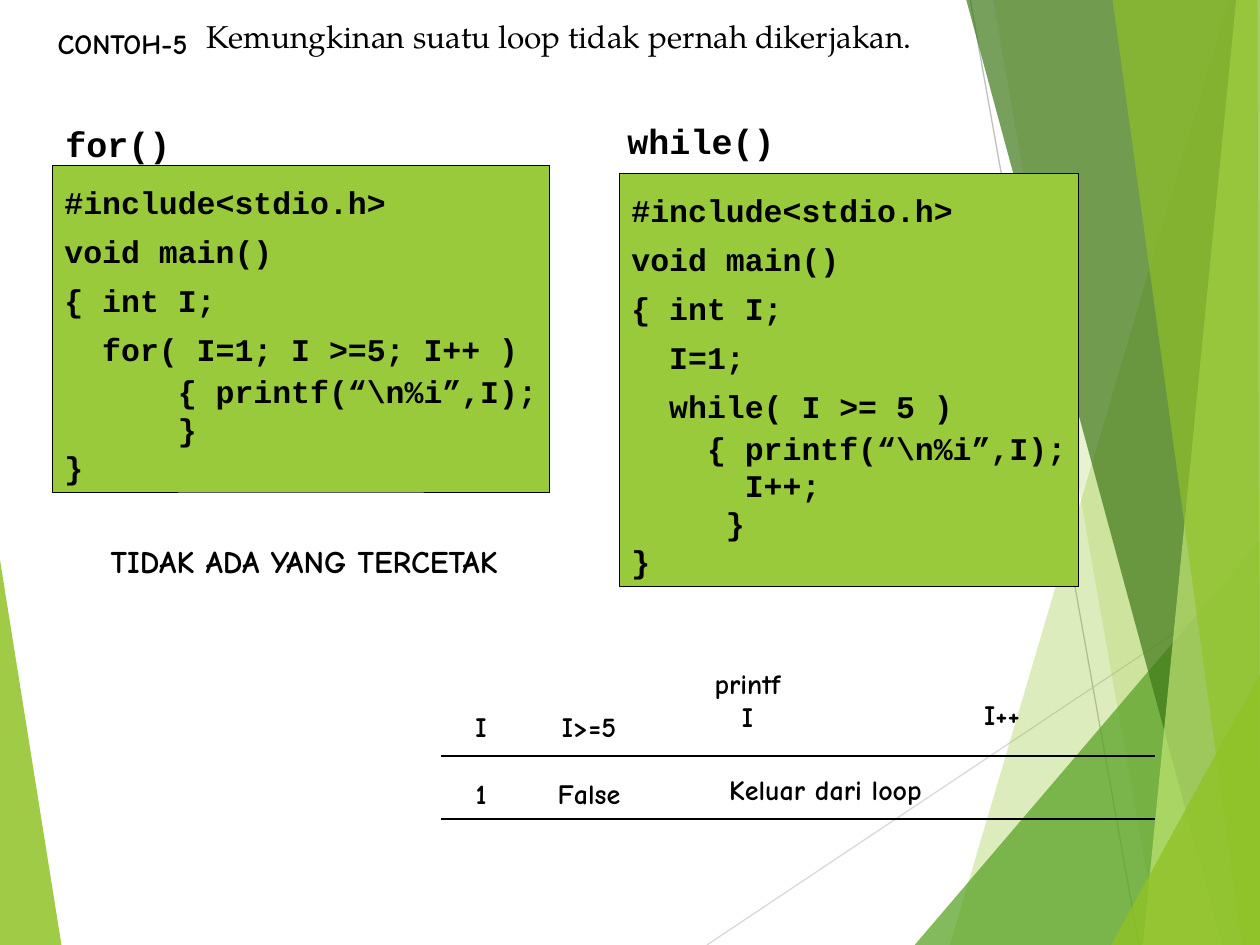
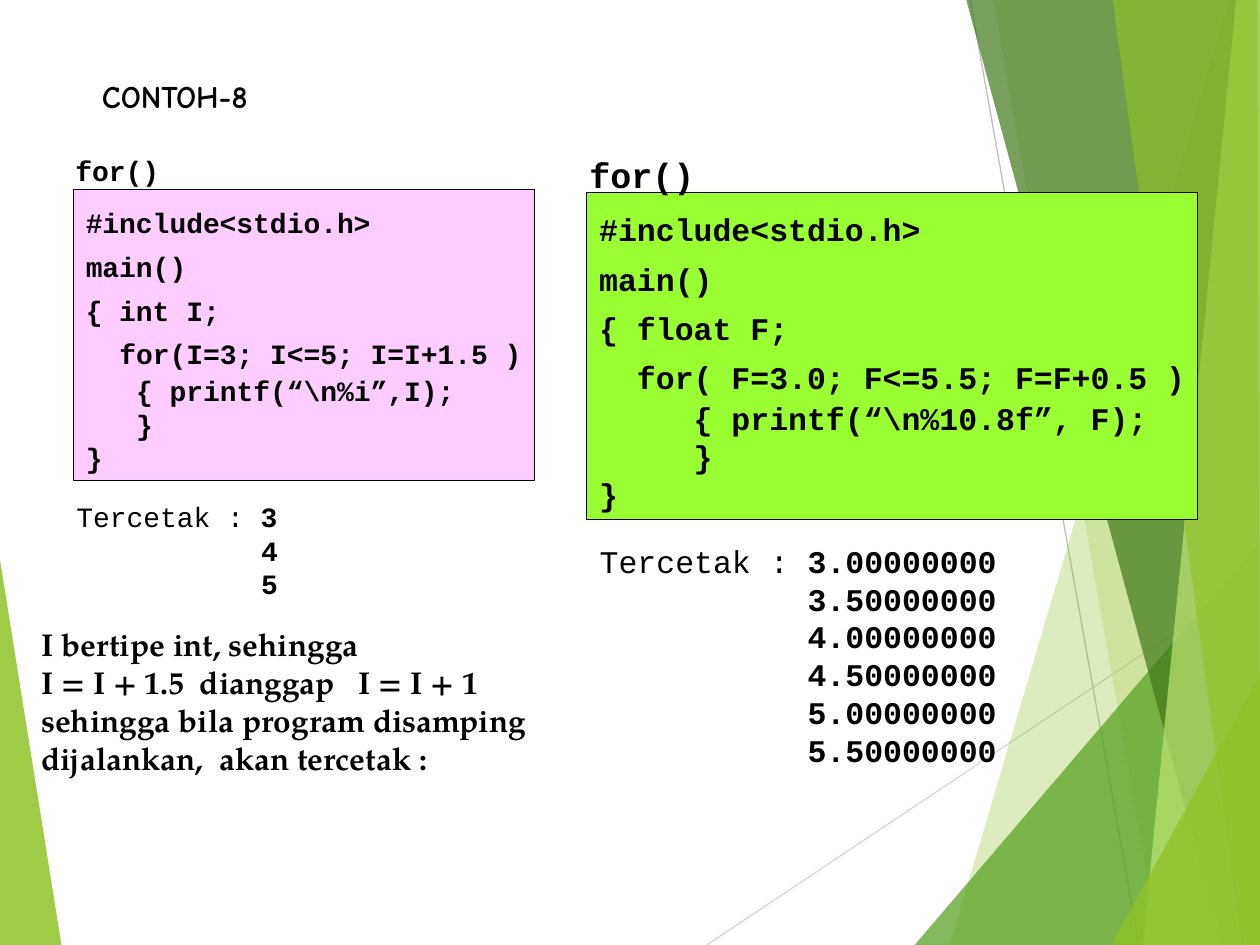
from lxml import etree
from pptx import Presentation
from pptx.dml.color import RGBColor
from pptx.enum.shapes import MSO_CONNECTOR, MSO_SHAPE
from pptx.enum.text import MSO_ANCHOR, MSO_AUTO_SIZE, PP_ALIGN
from pptx.oxml.ns import qn
from pptx.util import Cm, Pt

RECT = MSO_SHAPE.RECTANGLE
STRAIGHT = MSO_CONNECTOR.STRAIGHT
TOP = MSO_ANCHOR.TOP
GROW = MSO_AUTO_SIZE.SHAPE_TO_FIT_TEXT
LEFT, CENTER = PP_ALIGN.LEFT, PP_ALIGN.CENTER

BLACK = RGBColor(0x00, 0x00, 0x00)
PALE = RGBColor(0xD9, 0xD9, 0xD9)
GREY = RGBColor(0xBF, 0xBF, 0xBF)
GREEN = RGBColor(0x90, 0xC2, 0x26)
LEAF = RGBColor(0x54, 0xA0, 0x21)
DARK = RGBColor(0x3F, 0x78, 0x19)
LIGHT = RGBColor(0xC0, 0xE4, 0x74)
OLIVE = RGBColor(0x99, 0xCA, 0x3C)
PINK = RGBColor(0xFF, 0xCC, 0xFF)
LIME = RGBColor(0x99, 0xFF, 0x33)

COMIC = "Comic Neue"
MONO = "Courier New"
SERIF = "TeX Gyre Pagella"
W, H = 25.4, 19.05


def write(shape, at, rows, font, size, bold=True, align=LEFT):
    shape.left, shape.top, shape.width, shape.height = [Cm(n) for n in at]
    frame = shape.text_frame
    frame.word_wrap = False
    frame.auto_size = GROW
    frame.vertical_anchor = TOP
    for i, (step, text) in enumerate(rows):
        par = frame.add_paragraph() if i else frame.paragraphs[0]
        par.text = text
        par.alignment = align
        par.font.name = font
        par.font.size = Pt(size)
        par.font.bold = bold
        par.font.color.rgb = BLACK
        if step:
            props = par._p.get_or_add_pPr()
            props.set("marL", str(Pt(step * size * 0.6)))
            props.set("indent", "0")
    return frame.paragraphs


def rule(shapes, x1, y1, x2, y2, color):
    line = shapes.add_connector(STRAIGHT, Cm(x1), Cm(y1), Cm(x2), Cm(y2))
    line.line.color.rgb = color
    line.line.width = Pt(0.75)
    etree.SubElement(line.element.spPr, qn("a:effectLst"))


deck = Presentation()
deck.slide_width, deck.slide_height = Cm(W), Cm(H)
layout = deck.slide_layouts[5]
first = deck.slides.add_slide(layout)
second = deck.slides.add_slide(layout)

decor = first.shapes.add_group_shape()
rule(decor.shapes, 14.25, H, W, 11.61, PALE)
rule(decor.shapes, 19.56, 0, 22.96, H, GREY)
facets = [
    (GREEN, 85, [(0, 11.28), (1.24, H), (0, H)]),
    (GREEN, 30, [(24.77, 0), (19.15, H), (W, H), (W, 0)]),
    (GREEN, 20, [(20.02, 0), (23.37, H), (W, H), (W, 0)]),
    (LEAF, 72, [(18.44, H), (W, 10.9), (W, H)]),
    (DARK, 70, [(19.48, 0), (24.64, H), (W, H), (W, 0)]),
    (LIGHT, 70, [(24.92, 0), (23.04, H), (W, H), (W, 0)]),
    (GREEN, 65, [(22.43, 0), (25.04, H), (W, H), (25.35, 0)]),
    (GREEN, 80, [(22.4, H), (W, 13.59), (W, H)]),
]
for color, alpha, points in facets:
    points = [(Cm(x), Cm(y)) for x, y in points]
    pen = decor.shapes.build_freeform(*points[0])
    pen.add_line_segments(points[1:])
    facet = pen.convert_to_shape()
    facet.shadow.inherit = False
    facet.line.fill.background()
    facet.fill.solid()
    facet.fill.fore_color.rgb = color
    tint = facet.element.xpath(".//a:srgbClr")[0]
    etree.SubElement(tint, qn("a:alpha")).set("val", str(alpha * 1000))
for i, tag in enumerate(decor.element.iter(qn("p:cNvPr"))):
    tag.set("id", str(100 + i))
layout.slide_master.shapes.element.append(decor.element)

write(first.shapes.title, (0.91, 0.41, 3.25, 0.94), [(0, "CONTOH-5")], COMIC, 16)
write(second.shapes.title, (1.8, 1.42, 3.6, 1.02), [(0, "CONTOH-8")], COMIC, 18)

codes = [
    (first, OLIVE, 18, (1.05, 3.34, 10.03, 6.58), [
        (0, "#include<stdio.h>"),
        (0, "void main()"),
        (0, "{ int I;"),
        (2, "for( I=1; I >=5; I++ )"),
        (6, "{ printf(“\\n%i”,I);"),
        (6, "}"),
        (0, "}"),
    ]),
    (first, OLIVE, 18, (12.48, 3.49, 9.27, 8.33), [
        (0, "#include<stdio.h>"),
        (0, "void main()"),
        (0, "{ int I;"),
        (2, "I=1;"),
        (2, "while( I >= 5 )"),
        (4, "{ printf(“\\n%i”,I);"),
        (6, "I++;"),
        (5, "}"),
        (0, "}"),
    ]),
    (second, PINK, 16, (1.48, 3.82, 9.3, 5.87), [
        (0, "#include<stdio.h>"),
        (0, "main()"),
        (0, "{ int I;"),
        (2, "for(I=3; I<=5; I=I+1.5 )"),
        (3, "{ printf(“\\n%i”,I);"),
        (3, "}"),
        (0, "}"),
    ]),
    (second, LIME, 18, (11.83, 3.89, 12.32, 6.58), [
        (0, "#include<stdio.h>"),
        (0, "main()"),
        (0, "{ float F;"),
        (2, "for( F=3.0; F<=5.5; F=F+0.5 )"),
        (5, "{ printf(“\\n%10.8f”, F);"),
        (5, "}"),
        (0, "}"),
    ]),
]
for slide, color, size, at, rows in codes:
    box = slide.shapes.add_shape(RECT, *[Cm(n) for n in at])
    box.shadow.inherit = False
    box.fill.solid()
    box.fill.fore_color.rgb = color
    box.line.color.rgb = BLACK
    box.line.width = Pt(0.5)
    space = 1.3
    for par in write(box, at, rows, MONO, size):
        if "printf" in par.text:
            par.line_spacing = 1.1
            space = 1.0
        else:
            par.line_spacing = space

labels = [
    (first, (1.07, 2.34, 2.8, 1.12), "for()", MONO, 20, True),
    (first, (12.4, 2.29, 3.65, 1.12), "while()", MONO, 20, True),
    (first, (3.91, 0.22, 15.9, 1.02),
     "Kemungkinan suatu loop tidak pernah dikerjakan.", SERIF, 18, False),
    (first, (1.98, 10.8, 8.6, 1.02), "TIDAK ADA YANG TERCETAK", COMIC, 18, True),
    (first, (14.45, 15.44, 4.55, 0.94), "Keluar dari loop", COMIC, 16, True),
    (second, (1.27, 2.97, 2.4, 0.94), "for()", MONO, 16, True),
    (second, (11.63, 2.97, 2.8, 1.12), "for()", MONO, 20, True),
]
for slide, at, text, font, size, bold in labels:
    box = slide.shapes.add_textbox(0, 0, 0, 0)
    write(box, at, [(0, text)], font, size, bold)

trace = [
    ((9.2, 14.17, 1, 2.29), ["I", "1"], 19.2),
    ((10.85, 14.17, 2.05, 2.29), ["I>=5", "False"], 19.2),
    ((14.02, 13.31, 2.1, 1.63), ["printf", "I"], 0),
    ((19.4, 13.94, 1.6, 0.94), ["I++"], 0),
]
for at, texts, gap in trace:
    box = first.shapes.add_textbox(0, 0, 0, 0)
    pars = write(box, at, [(0, text) for text in texts], COMIC, 16, align=CENTER)
    pars[-1].space_before = Pt(gap)
for y in (15.24, 16.51):
    rule(first.shapes, 8.89, y, 23.29, y, BLACK)

prints = [
    (16, (1.29, 9.95, 4.8, 2.29), ["3", "4", "5"]),
    (18, (11.84, 10.8, 8.65, 4.83), [f"{3 + n / 2:.8f}" for n in range(6)]),
]
for size, at, values in prints:
    box = second.shapes.add_textbox(0, 0, 0, 0)
    rows = [(0, "Tercetak :")] + [(11, value) for value in values[1:]]
    head = write(box, at, rows, MONO, size)[0]
    head.font.bold = False
    run = head.add_run()
    run.text = " " + values[0]
    run.font.bold = True

note = [
    ("I bertipe int, sehingga", []),
    ("I = I + 1.5\tdianggap\tI = I + 1", [3.2, 6.4]),
    ("sehingga bila program disamping", []),
    ("dijalankan,\takan tercetak :", [3.6]),
]
box = second.shapes.add_textbox(0, 0, 0, 0)
rows = [(0, text) for text, stops in note]
pars = write(box, (0.58, 12.48, 11.25, 3.3), rows, SERIF, 18)
for par, (text, stops) in zip(pars, note):
    if stops:
        tabs = etree.Element(qn("a:tabLst"))
        for stop in stops:
            etree.SubElement(tabs, qn("a:tab"), pos=str(Cm(stop)), algn="l")
        par._p.get_or_add_pPr().insert(0, tabs)

deck.save("out.pptx")
